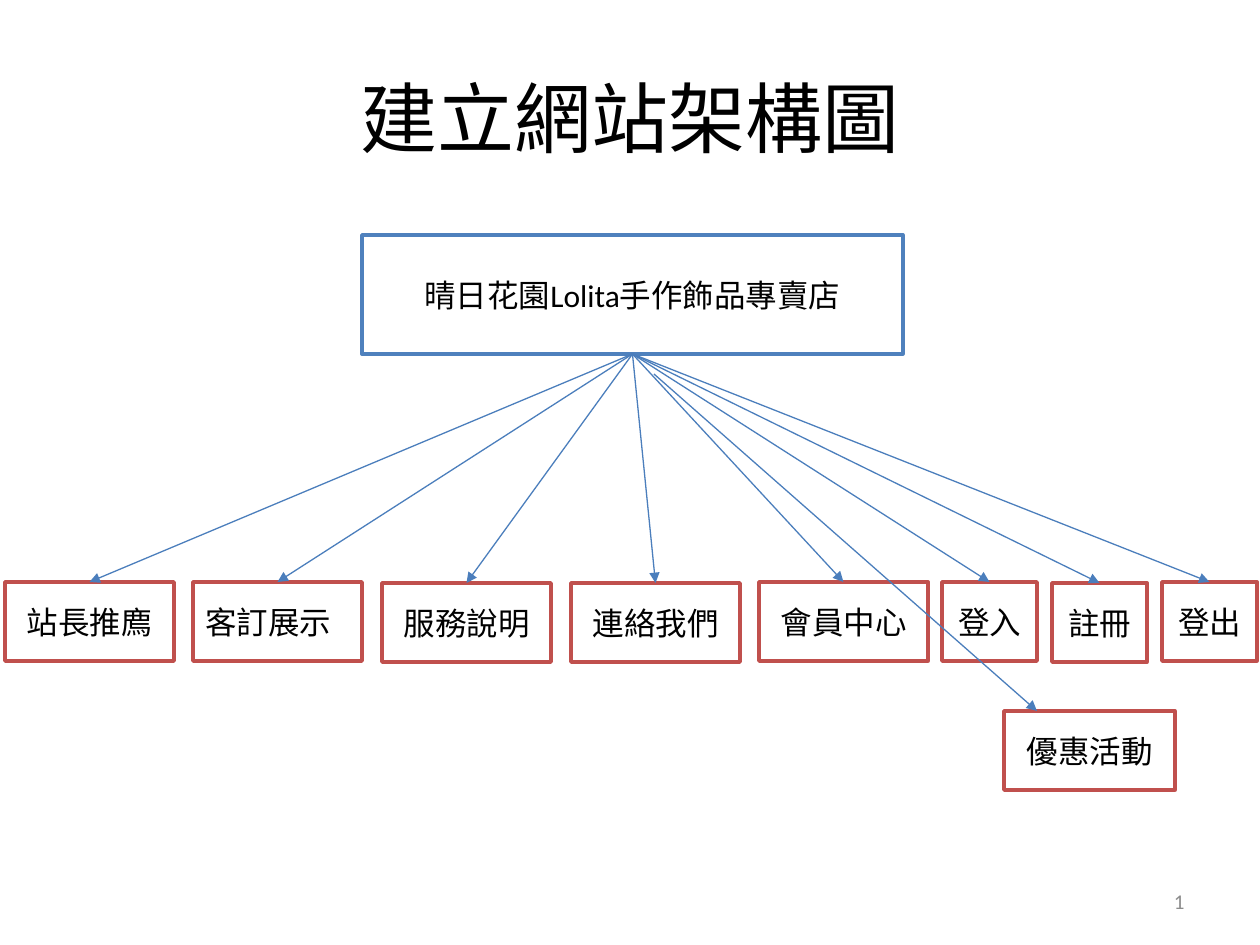
from dataclasses import dataclass

from lxml.etree import SubElement
from pptx import Presentation
from pptx.dml.color import RGBColor
from pptx.enum.shapes import MSO_CONNECTOR as Connector, MSO_SHAPE as Preset
from pptx.enum.text import MSO_ANCHOR as Anchor, PP_ALIGN as Align
from pptx.oxml.ns import qn
from pptx.shapes.autoshape import Shape
from pptx.shapes.connector import Connector as Line
from pptx.slide import Slide
from pptx.util import Emu, Pt

PX = 914400 / 126
FONT = "Calibri"
COLORS = {
    "text": "000000",
    "number": "8C8C8C",
    "fill": "FFFFFF",
    "root": "4F81BD",
    "section": "C0504D",
    "arrow": "4B7EBC",
}
BOTTOM, TOP = 2, 0
SECTION_HEIGHT = 79


@dataclass
class Node:
    label: str
    left: int
    top: int
    width: int
    height: int = SECTION_HEIGHT
    line: str = "section"
    align: Align = Align.CENTER


def px(value: int) -> Emu:
    return Emu(round(value * PX))


def color(name: str) -> RGBColor:
    return RGBColor.from_string(COLORS[name])


def place(shape: Shape, left: int, top: int, width: int, height: int) -> None:
    shape.left, shape.top = px(left), px(top)
    shape.width, shape.height = px(width), px(height)


def write(shape: Shape, text: str, size: int, align: Align, ink: str = "text") -> None:
    frame = shape.text_frame
    frame.word_wrap = True
    frame.vertical_anchor = Anchor.MIDDLE
    para = frame.paragraphs[0]
    para.alignment = align
    span = para.add_run()
    span.text = text
    span.font.name = FONT
    span.font.size = Pt(size)
    span.font.color.rgb = color(ink)


def add_node(page: Slide, node: Node) -> Shape:
    box = page.shapes.add_shape(
        Preset.RECTANGLE, px(node.left), px(node.top), px(node.width), px(node.height)
    )
    box.shadow.inherit = False
    box.fill.solid()
    box.fill.fore_color.rgb = color("fill")
    box.line.color.rgb = color(node.line)
    box.line.width = Pt(2)
    write(box, node.label, 18, node.align)
    return box


def add_arrow(page: Slide, start: tuple[int, int], end: tuple[int, int]) -> Line:
    arrow = page.shapes.add_connector(
        Connector.STRAIGHT, px(start[0]), px(start[1]), px(end[0]), px(end[1])
    )
    arrow.line.color.rgb = color("arrow")
    arrow.line.width = Pt(0.75)
    SubElement(arrow.line._get_or_add_ln(), qn("a:tailEnd"), type="triangle")
    SubElement(arrow._element.spPr, qn("a:effectLst"))
    return arrow


def join(page: Slide, parent: Shape, child: Shape) -> None:
    arrow = add_arrow(page, (0, 0), (0, 0))
    arrow.begin_connect(parent, BOTTOM)
    arrow.end_connect(child, TOP)


ROOT = Node("晴日花園Lolita手作飾品專賣店", 362, 235, 541, 119, "root")
WIDE = [
    ("站長推廌", 582, Align.CENTER),
    ("客訂展示", 582, Align.LEFT),
    ("服務說明", 583, Align.CENTER),
    ("連絡我們", 583, Align.CENTER),
    ("會員中心", 582, Align.CENTER),
]
NARROW = [("登入", 582), ("註冊", 583), ("登出", 582)]
SECTIONS = [
    Node(label, 5 + round(i * 188.5), top, 169, align=align)
    for i, (label, top, align) in enumerate(WIDE)
] + [Node(label, 942 + i * 110, top, 95) for i, (label, top) in enumerate(NARROW)]
PROMOTION = Node("優惠活動", 1004, 711, 171)


def main() -> None:
    deck = Presentation()
    deck.slide_width, deck.slide_height = px(1260), px(945)
    page = deck.slides.add_slide(deck.slide_layouts[5])

    title = page.shapes.title
    place(title, 63, 38, 1134, 157)
    write(title, "建立網站架構圖", 44, Align.CENTER)

    number = page.shapes.add_textbox(px(903), px(876), px(294), px(50))
    write(number, "1", 12, Align.RIGHT, "number")

    root = add_node(page, ROOT)
    sections = [add_node(page, node) for node in SECTIONS]
    for section in sections:
        join(page, root, section)

    add_node(page, PROMOTION)
    add_arrow(page, (654, 374), (1037, 711))
    deck.save("out.pptx")


if __name__ == "__main__":
    main()
